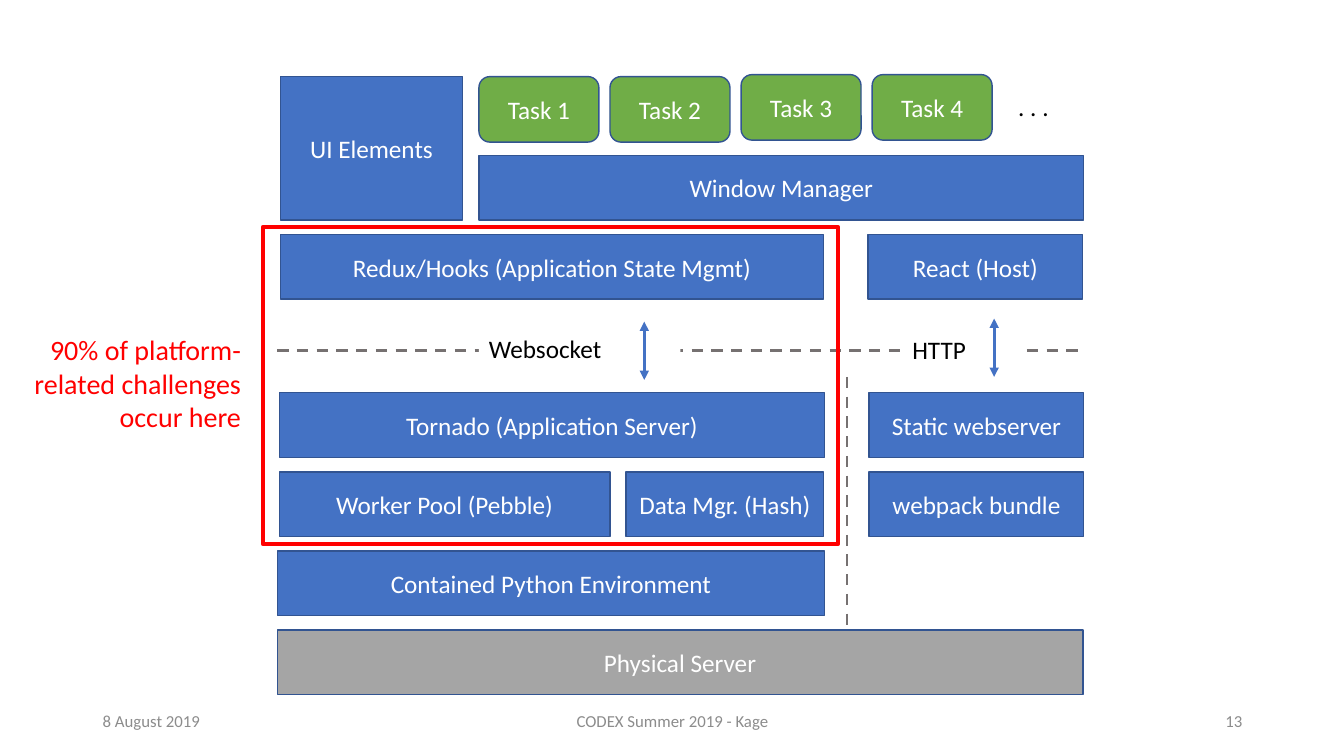
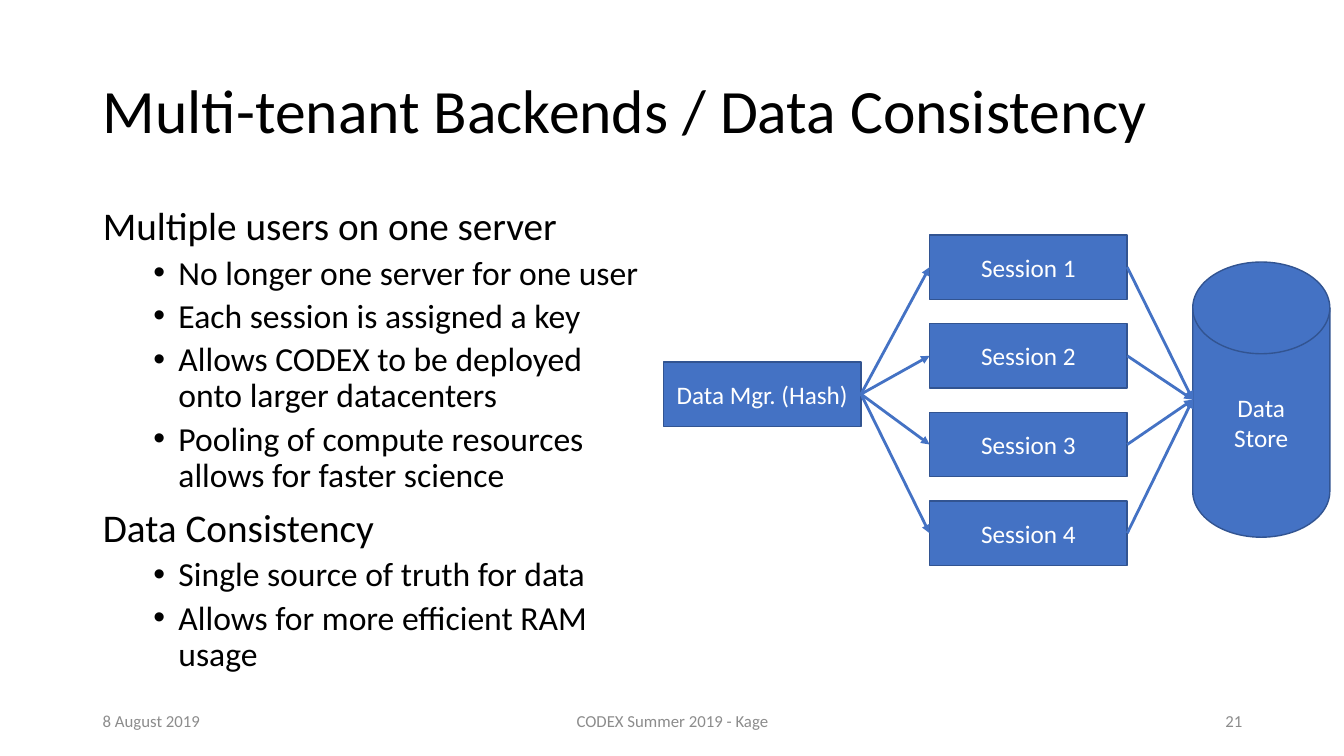
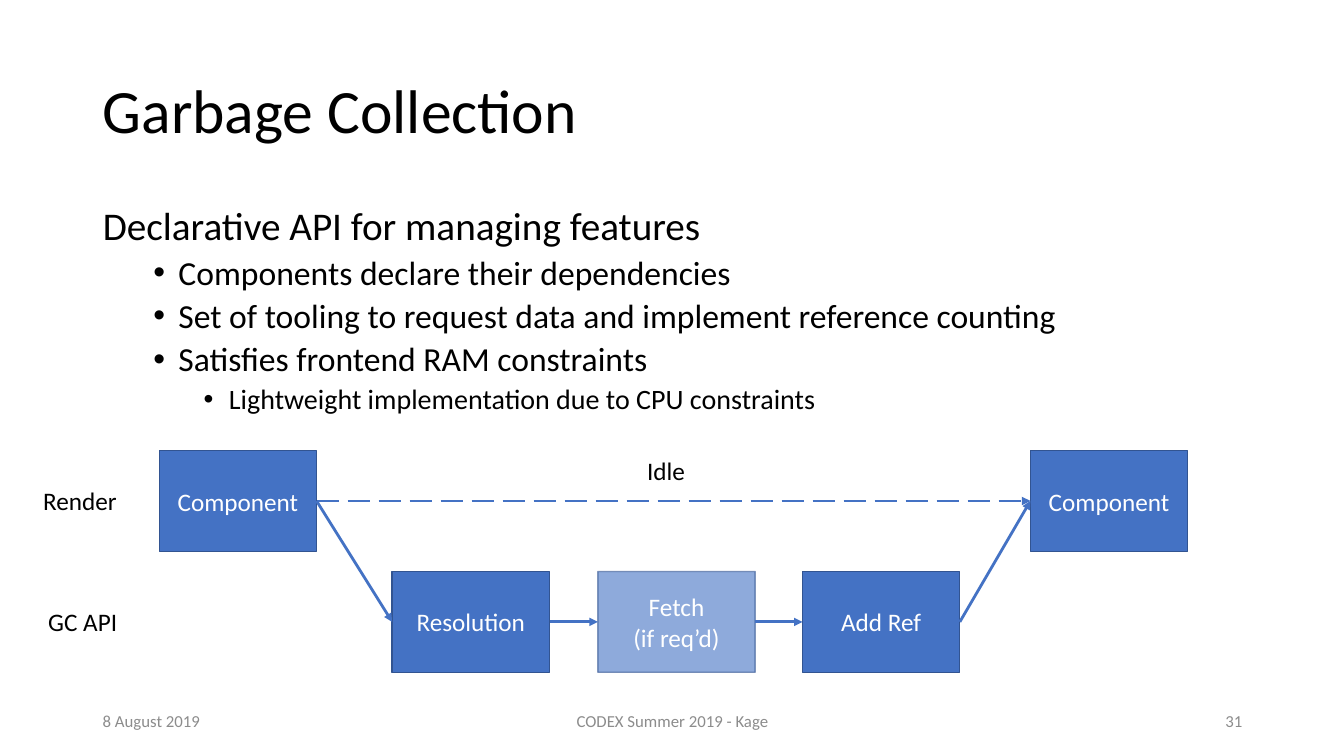
import lxml.etree
import pptx
import pptx.dml.color
import pptx.enum.dml
import pptx.enum.shapes
import pptx.enum.text
import pptx.oxml.ns
import pptx.util

Inches, Pt = pptx.util.Inches, pptx.util.Pt
KIND = pptx.enum.shapes.MSO_SHAPE
DASH = pptx.enum.dml.MSO_LINE
ALIGN = pptx.enum.text.PP_ALIGN
ANCHOR = pptx.enum.text.MSO_ANCHOR
qn = pptx.oxml.ns.qn

FONT = "Calibri"
BLUE, EDGE, GREEN, GRAY = "4472C4", "325491", "70AD47", "A5A5A5"
WHITE, BLACK, RED, DASHED, MUTED = "FFFFFF", "000000", "FF0000", "767171", "8C8C8C"

# Shared footer: left, width, alignment, text (None stands for the slide number)
FOOT = [
    (0.92, 3, ALIGN.LEFT, "8 August 2019"),
    (4.42, 4.5, ALIGN.CENTER, "CODEX Summer 2019 - Kage"),
    (9.42, 3, ALIGN.RIGHT, None),
]
# Outline level: size, indent, space before
LEVELS = [(28, 0, 10), (24, 0.75, 5), (20, 1.25, 5)]

# Architecture stack: rows share one pitch
TOP, LAST, ROWS, BAR = 0.76, 6.25, 7, 0.64
PITCH = (LAST - TOP) / ROWS
STACK = [  # row, left, width, text, fill
    (1, 4.75, 6, "Window Manager", BLUE),
    (2, 2.78, 5.39, "Redux/Hooks (Application State Mgmt)", BLUE),
    (2, 8.61, 2.13, "React (Host)", BLUE),
    (4, 2.77, 5.41, "Tornado (Application Server)", BLUE),
    (4, 8.62, 2.13, "Static webserver", BLUE),
    (5, 2.77, 3.28, "Worker Pool (Pebble)", BLUE),
    (5, 6.21, 1.96, "Data Mgr. (Hash)", BLUE),
    (5, 8.62, 2.13, "webpack bundle", BLUE),
    (6, 2.75, 5.43, "Contained Python Environment", BLUE),
    (7, 2.75, 7.99, "Physical Server", GRAY),
]
TASKS = [("Task 1", 0.76), ("Task 2", 0.76), ("Task 3", 0.74), ("Task 4", 0.74)]
WIRES = [("Websocket", 4.75, 3.26, 2), ("HTTP", 8.95, 3.27, 1.22)]
PULSES = [(9.86, 3.16), (6.39, 3.19)]
CLAIM = ["90% of platform-", "related challenges", "occur here"]

TENANT = [
    (0, "Multiple users on one server"),
    (1, "No longer one server for one user"),
    (1, "Each session is assigned a key"),
    (1, "Allows CODEX to be deployed onto larger datacenters"),
    (1, "Pooling of compute resources allows for faster science"),
    (0, "Data Consistency"),
    (1, "Single source of truth for data"),
    (1, "Allows for more efficient RAM usage"),
]
GARBAGE = [
    (0, "Declarative API for managing features"),
    (1, "Components declare their dependencies"),
    (1, "Set of tooling to request data and implement reference counting"),
    (1, "Satisfies frontend RAM constraints"),
    (2, "Lightweight implementation due to CPU constraints"),
]
RENDER, API = 4.47, 5.67
STEPS = [  # left, top, lines, opacity in percent
    (1.58, RENDER, ["Component"], 100),
    (3.89, API, ["Resolution"], 100),
    (5.93, API, ["Fetch", "(if req’d)"], 60),
    (7.96, API, ["Add Ref"], 100),
    (10.22, RENDER, ["Component"], 100),
]
TAGS = [(0.33, 4.77, 0.94, "Render"), (0.38, 5.97, 0.89, "GC API"),
        (6.32, 4.47, 0.58, "Idle")]


def color(code):
    return pptx.dml.color.RGBColor.from_string(code)


def add_run(para, text, size, ink):
    run = para.add_run()
    run.text = text
    run.font.name, run.font.size = FONT, Pt(size)
    run.font.color.rgb = color(ink)


def write(frame, lines, size, ink, align):
    for i, text in enumerate(lines):
        para = frame.add_paragraph() if i else frame.paragraphs[0]
        para.alignment = align
        add_run(para, text, size, ink)


def add_box(slide, at, lines=(), fill=BLUE, kind=KIND.RECTANGLE, edge=EDGE,
            weight=1, alpha=100):
    box = slide.shapes.add_shape(kind, *map(Inches, at))
    box.shadow.inherit = False
    if fill:
        box.fill.solid()
        box.fill.fore_color.rgb = color(fill)
    else:
        box.fill.background()
    box.line.color.rgb = color(edge)
    box.line.width = Pt(weight)
    if alpha < 100:
        for tint in box._element.spPr.iter(qn("a:srgbClr")):
            lxml.etree.SubElement(tint, qn("a:alpha"), val=str(alpha * 1000))
    box.text_frame.word_wrap = True
    box.text_frame.vertical_anchor = ANCHOR.MIDDLE
    write(box.text_frame, lines, 18, WHITE, ALIGN.CENTER)
    return box


def add_label(slide, at, lines, size=18, ink=BLACK, align=ALIGN.LEFT, wrap=False,
              anchor=ANCHOR.TOP, fill=None):
    label = slide.shapes.add_textbox(*map(Inches, at))
    if fill:
        label.fill.solid()
        label.fill.fore_color.rgb = color(fill)
    label.text_frame.word_wrap = wrap
    label.text_frame.vertical_anchor = anchor
    write(label.text_frame, lines, size, ink, align)


def add_line(slide, start, end, ink=BLUE, weight=2, dash=None, ends=()):
    """Draw a straight line between two points; ends names its arrowheads."""
    line = slide.shapes.add_connector(
        pptx.enum.shapes.MSO_CONNECTOR.STRAIGHT, *start, *end)
    line.line.color.rgb = color(ink)
    line.line.width = Pt(weight)
    if dash:
        line.line.dash_style = dash
    props = line._element.spPr
    for end_tag in ends:
        lxml.etree.SubElement(props.find(qn("a:ln")), qn(end_tag), type="triangle")
    lxml.etree.SubElement(props, qn("a:effectLst"))
    return line


def link(slide, left, right, dash=None, site=1):
    """Arrow from the right side of one shape to the left side of another."""
    start = left.left + left.width, left.top + left.height // 2
    end = right.left, right.top + right.height // 2
    line = add_line(slide, start, end, dash=dash, ends=["a:tailEnd"])
    line.begin_connect(left, 3)
    line.end_connect(right, site)
    line.end_x, line.end_y = end


def new_slide(deck, number, title=None, items=(), width=11.5):
    slide = deck.slides.add_slide(deck.slide_layouts[1 if title else 6])
    if title:
        head, body = slide.placeholders
        place(head, (0.92, 0.4, 11.5, 1.45), ANCHOR.MIDDLE)
        para = head.text_frame.paragraphs[0]
        para.alignment, para.line_spacing = ALIGN.LEFT, 0.9
        add_run(para, title, 44, BLACK)
        place(body, (0.92, 2, width, 4.76), ANCHOR.TOP)
        outline(body.text_frame, items)
    for left, wide, align, text in FOOT:
        add_label(slide, (left, 6.95, wide, 0.4), [text or str(number)], 12, MUTED,
                  align, True, ANCHOR.MIDDLE)
    return slide


def place(holder, at, anchor):
    holder.left, holder.top, holder.width, holder.height = map(Inches, at)
    frame = holder.text_frame
    frame.auto_size = pptx.enum.text.MSO_AUTO_SIZE.NONE
    frame.word_wrap, frame.vertical_anchor = True, anchor


def outline(frame, items):
    for i, (level, text) in enumerate(items):
        size, indent, space = LEVELS[level]
        para = frame.add_paragraph() if i else frame.paragraphs[0]
        para.level = level
        props = para._p.get_or_add_pPr()
        props.set("marL", str(Inches(indent)))
        props.set("indent", str(Inches(-0.25 if level else 0)))
        if level:
            lxml.etree.SubElement(props, qn("a:buFont"), typeface="Arial")
            lxml.etree.SubElement(props, qn("a:buChar"), char="•")
        else:
            lxml.etree.SubElement(props, qn("a:buNone"))
        para.line_spacing = 0.9
        para.space_before = Pt(space if i else 0)
        add_run(para, text, size, BLACK)


def draw_stack(deck):
    slide = new_slide(deck, 13)
    for start, end in [((2.75, 3.48), (10.74, 3.48)), ((8.4, 3.74), (8.4, LAST))]:
        add_line(slide, map(Inches, start), map(Inches, end), DASHED, dash=DASH.DASH)
    for text, left, top, width in WIRES:
        add_label(slide, (left, top, width, 0.4), [text], wrap=True, fill=WHITE)
    for x, y in PULSES:
        add_line(slide, (Inches(x), Inches(y)), (Inches(x), Inches(y + 0.58)),
                 weight=2.25, ends=["a:headEnd", "a:tailEnd"])
    add_box(slide, (2.78, TOP, 1.81, PITCH + BAR), ["UI Elements"])
    for row, left, width, text, fill in STACK:
        add_box(slide, (left, TOP + row * PITCH, width, BAR), [text], fill)
    for i, (text, top) in enumerate(TASKS):
        add_box(slide, (4.75 + i * 1.3, top, 1.19, 0.65), [text], GREEN,
                KIND.ROUNDED_RECTANGLE)
    add_label(slide, (10, 0.86, 1.55, 0.41), [". . ."], wrap=True)
    add_box(slide, (2.61, 2.25, 5.7, 3.15), fill=None, edge=RED, weight=3)
    add_label(slide, (0.22, 3.25, 2.27, 1.11), CLAIM, 20, RED, ALIGN.RIGHT)


def draw_tenants(deck):
    slide = new_slide(deck, 21, "Multi-tenant Backends / Data Consistency", TENANT, 5.6)
    hub = add_box(slide, (6.58, 3.59, 1.96, BAR), ["Data Mgr. (Hash)"])
    store = add_box(slide, (11.83, 2.6, 1.36, 2.73), ["Data", "Store"],
                    kind=KIND.FLOWCHART_MAGNETIC_DISK)
    for i in range(4):
        session = add_box(slide, (9.22, 2.33 + i * 0.88, 1.96, BAR), [f"Session {i + 1}"])
        link(slide, hub, session)
        link(slide, session, store, site=2)


def draw_garbage(deck):
    slide = new_slide(deck, 31, "Garbage Collection", GARBAGE)
    steps = [add_box(slide, (left, top, 1.56, 1), lines, alpha=alpha)
             for left, top, lines, alpha in STEPS]
    for left, right in zip(steps, steps[1:]):
        link(slide, left, right)
    link(slide, steps[0], steps[-1], DASH.LONG_DASH)
    for left, top, width, text in TAGS:
        add_label(slide, (left, top, width, 0.4), [text])


def main():
    deck = pptx.Presentation()
    deck.slide_width, deck.slide_height = Inches(13.33), Inches(7.5)
    draw_stack(deck)
    draw_tenants(deck)
    draw_garbage(deck)
    deck.save("out.pptx")


if __name__ == "__main__":
    main()
